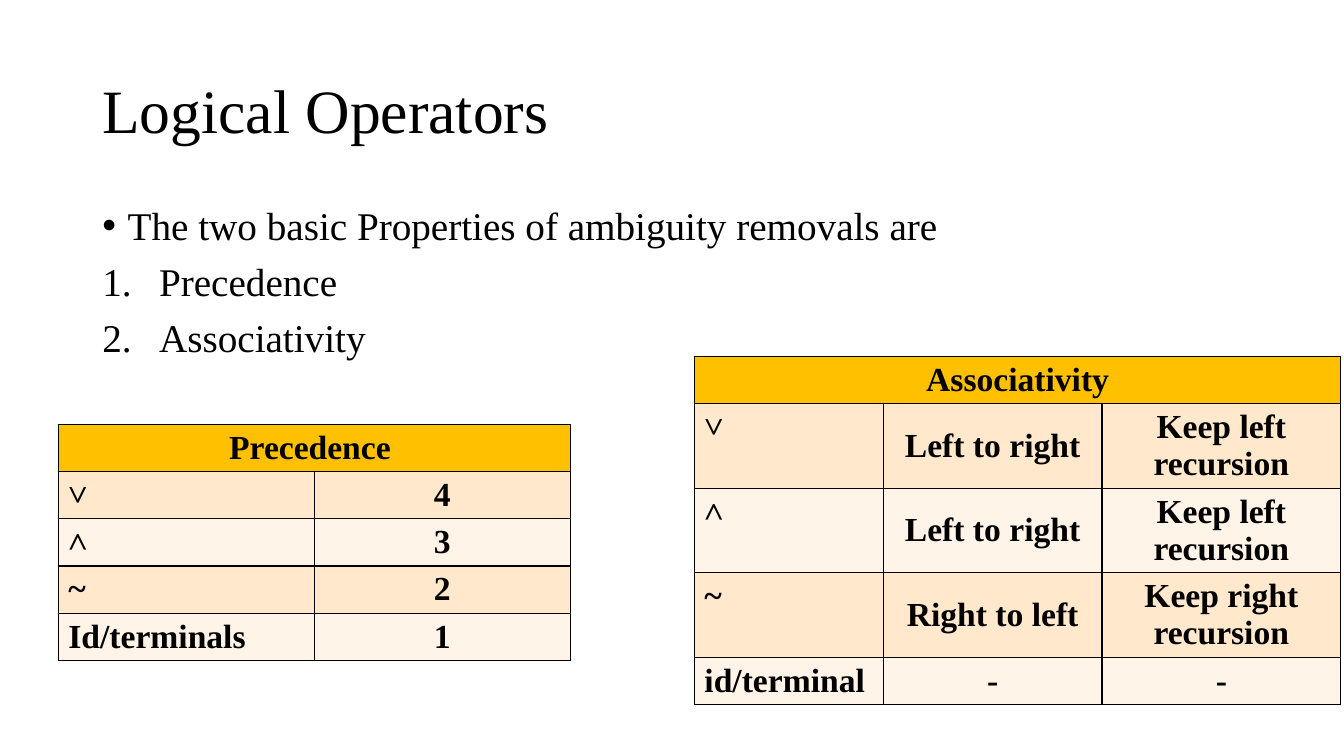
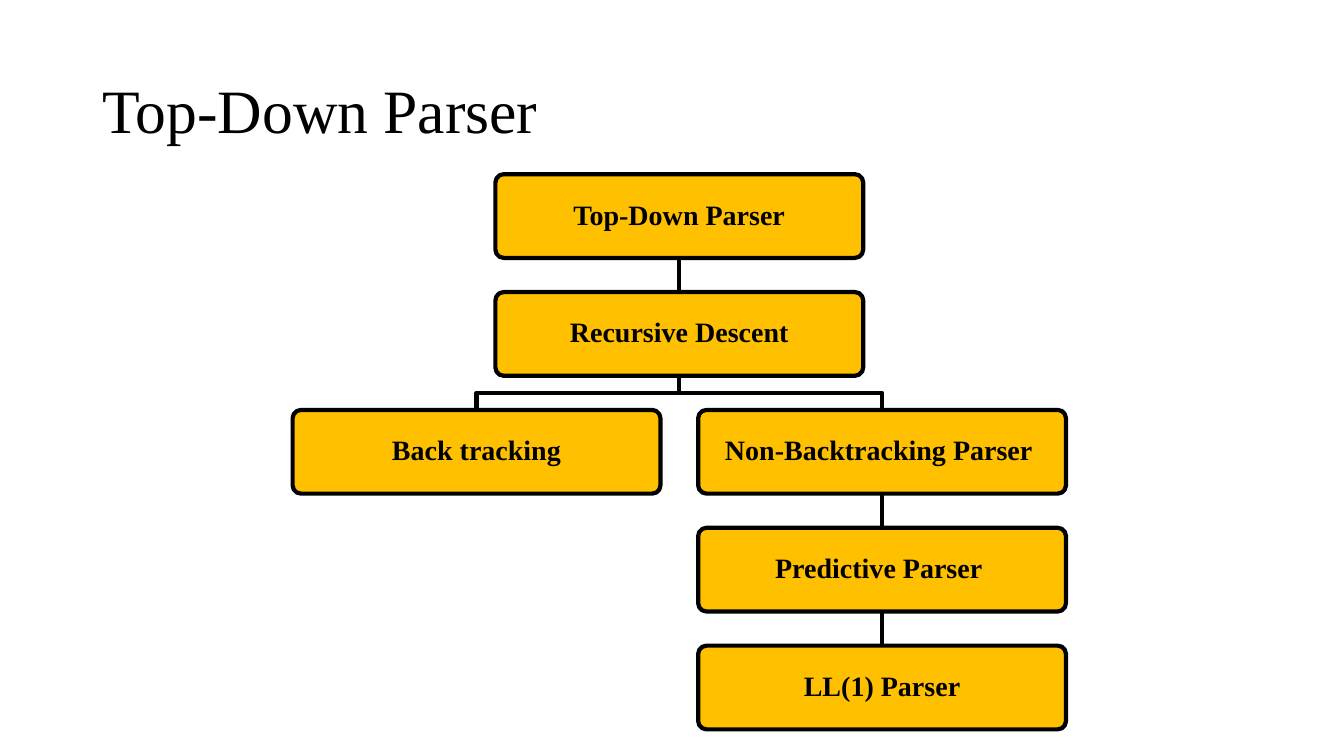
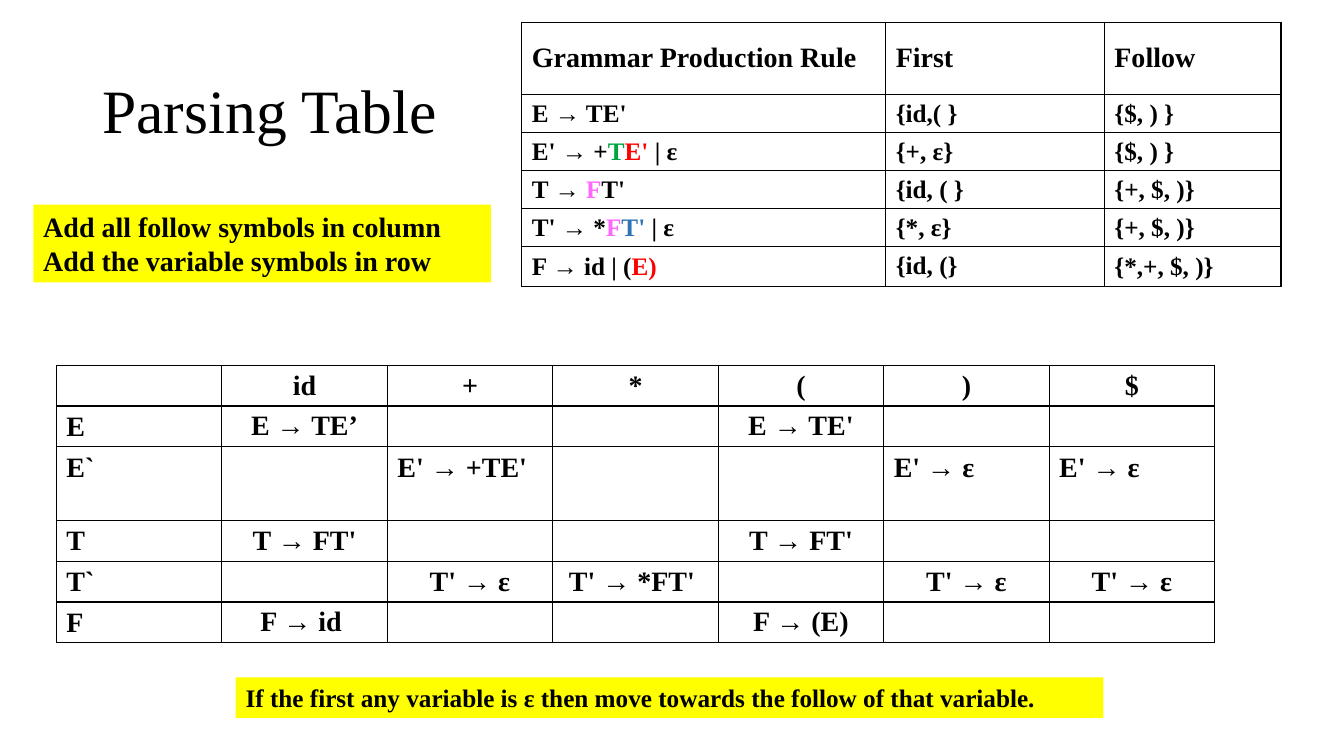
from dataclasses import dataclass
from typing import NamedTuple

from lxml import etree
from pptx import Presentation
from pptx.dml.color import RGBColor
from pptx.enum.shapes import MSO_CONNECTOR, MSO_SHAPE
from pptx.enum.text import MSO_ANCHOR, PP_ALIGN
from pptx.oxml.ns import qn
from pptx.util import Cm, Pt

LEFT, CENTER = PP_ALIGN.LEFT, PP_ALIGN.CENTER
TOP, MIDDLE = MSO_ANCHOR.TOP, MSO_ANCHOR.MIDDLE
STRAIGHT = MSO_CONNECTOR.STRAIGHT
RECTANGLE, ROUNDED = MSO_SHAPE.RECTANGLE, MSO_SHAPE.ROUNDED_RECTANGLE

FONT = "Times New Roman"
COLORS = {
    "black": "000000",
    "white": "FFFFFF",
    "gold": "FFC000",
    "peach": "FFE8CC",
    "cream": "FFF4E7",
    "yellow": "FFFF00",
    "green": "00A43D",
    "red": "FF0000",
    "pink": "FF66FF",
    "blue": "2E75B6",
}


class CellStyle(NamedTuple):
    alignment: PP_ALIGN
    anchor: MSO_ANCHOR
    margin_top: float
    margin_bottom: float


CELL_STYLES = {
    "l": CellStyle(LEFT, TOP, 0.13, 0),
    "c": CellStyle(CENTER, MIDDLE, 0.03, 0.03),
    "m": CellStyle(LEFT, MIDDLE, 0.03, 0.03),
}

BOX_WIDTH, BOX_HEIGHT = 9.27, 2.11
TREE_CENTER, TREE_TOP = 17.12, 4.39
LEVEL_PITCH, BRANCH_OFFSET = 2.97, 5.11


class Run(NamedTuple):
    text: str
    color: str = "black"


class Row(NamedTuple):
    height: float
    styles: str
    cells: tuple
    fill: str = "white"
    size: int = 20


@dataclass
class Grid:
    left: float
    top: float
    columns: list[float]
    rows: list[Row]


@dataclass
class Node:
    name: str
    text: str
    level: int
    branch: int
    parent: str = ""


@dataclass
class Note:
    left: float
    top: float
    width: float
    height: float
    size: int
    lines: list[str]


class BulletPart(NamedTuple):
    tag: str
    attribute: str
    value: str


@dataclass
class ListItem:
    text: str
    indent: float
    bullet: tuple[BulletPart, ...]


DOT = (BulletPart("a:buFont", "typeface", "Arial"), BulletPart("a:buChar", "char", "•"))
NUMBER = (BulletPart("a:buAutoNum", "type", "arabicPeriod"),)

LIST_ITEMS = [
    ListItem("The two basic Properties of ambiguity removals are", 0.64, DOT),
    ListItem("Precedence", 1.43, NUMBER),
    ListItem("Associativity", 1.43, NUMBER),
]

PRECEDENCE = Grid(1.47, 10.69, [6.45] * 2, [
    Row(1.19, "c", ("Precedence ",), "gold", 24),
    Row(1.19, "lc", ("˅", "4"), "peach", 24),
    Row(1.19, "lc", ("˄", "3"), "cream", 24),
    Row(1.19, "lc", ("~", "2"), "peach", 24),
    Row(1.19, "lc", ("Id/terminals", "1"), "cream", 24),
])

ASSOCIATIVITY = Grid(17.5, 8.98, [4.76, 5.51, 6.02], [
    Row(1.19, "c", ("Associativity",), "gold", 24),
    Row(2.13, "lcc", ("˅", "Left to right", "Keep left recursion"), "peach", 24),
    Row(2.13, "lcc", ("˄", "Left to right", "Keep left recursion"), "cream", 24),
    Row(2.13, "lcc", ("~", "Right to left", "Keep right recursion"), "peach", 24),
    Row(1.19, "lcc", ("id/terminal", "-", "-"), "cream", 24),
])

PARSING = Grid(1.42, 9.2, [4.17] * 7, [
    Row(1.03, "lcccccc", ("", "id", "+", "*", "(", ")", "$")),
    Row(1.03, "lcccccc", ("E", "E → TE’", "", "", "E → TE'", "", "")),
    Row(1.85, "lllllll", ("E`", "", "E' → +TE'", "", "", "E' → ε", "E' → ε")),
    Row(1.03, "lcccccc", ("T", "T → FT'", "", "", "T → FT'", "", "")),
    Row(1.03, "lcccccc", ("T`", "", "T' → ε", "T' → *FT' ", "", "T' → ε", "T' → ε")),
    Row(1.03, "lcccccc", ("F", "F → id ", "", "", "F → (E)", "", "")),
])

GRAMMAR = Grid(13.15, 0.56, [9.17, 5.51, 4.45], [
    Row(1.82, "mmm", ("Grammar Production Rule", "First", "Follow")),
    Row(0.96, "mlm", ("E → TE'", "{id,( }", "{$, ) }"), size=18),
    Row(0.96, "mlm", ((Run("E' → +"), Run("T", "green"), Run("E' ", "red"), Run("| ε")),
                      "{+, ε}", "{$, ) }"), size=18),
    Row(0.96, "mlm", ((Run("T → "), Run("F", "pink"), Run("T'")),
                      "{id, ( }", "{+, $, )}"), size=18),
    Row(0.96, "mlm", ((Run("T' → *"), Run("F", "pink"), Run("T' ", "blue"), Run("| ε")),
                      "{*, ε}", "{+, $, )}"), size=18),
    Row(1.0, "mlm", ((Run("F → id | ("), Run("E)", "red")),
                     "{id, (}", "{*,+, $, )}"), size=18),
])

NODES = [
    Node("root", "Top-Down Parser", 0, 0),
    Node("descent", "Recursive Descent", 1, 0, "root"),
    Node("backtracking", "Back tracking", 2, -1, "descent"),
    Node("direct", "Non-Backtracking Parser ", 2, 1, "descent"),
    Node("predictive", "Predictive Parser ", 3, 1, "direct"),
    Node("ll", "LL(1) Parser", 4, 1, "predictive"),
]

NOTES = [
    Note(0.84, 5.16, 11.53, 1.96, 20,
         ["Add all follow symbols in column", "Add the variable symbols in row"]),
    Note(5.94, 17.07, 21.87, 1.02, 18,
         ["If the first any variable is ε then move towards the follow of that variable."]),
]


def rgb(name: str) -> RGBColor:
    return RGBColor.from_string(COLORS[name])


def add_runs(paragraph, content, size: int, bold: bool = True) -> None:
    runs = (Run(content),) if isinstance(content, str) else content
    for text, color in runs:
        run = paragraph.add_run()
        run.text = text
        run.font.name = FONT
        run.font.size = Pt(size)
        run.font.bold = bold
        run.font.color.rgb = rgb(color)


def next_paragraph(frame, index: int):
    return frame.add_paragraph() if index else frame.paragraphs[0]


def add_titled_slide(presentation, title: str):
    slide = presentation.slides.add_slide(presentation.slide_layouts[6])
    frame = slide.shapes.add_textbox(Cm(2.33), Cm(1.01), Cm(29.21), Cm(3.68)).text_frame
    frame.word_wrap = True
    frame.vertical_anchor = MIDDLE
    paragraph = frame.paragraphs[0]
    paragraph.line_spacing = 0.9
    add_runs(paragraph, title, 44, bold=False)
    return slide


def add_list(slide, items: list[ListItem]) -> None:
    frame = slide.shapes.add_textbox(Cm(2.33), Cm(5.07), Cm(29.21), Cm(12.09)).text_frame
    frame.word_wrap = True
    for index, item in enumerate(items):
        paragraph = next_paragraph(frame, index)
        properties = paragraph._p.get_or_add_pPr()
        properties.set("marL", str(Cm(item.indent)))
        properties.set("indent", str(-Cm(item.indent)))
        for part in item.bullet:
            etree.SubElement(properties, qn(part.tag)).set(part.attribute, part.value)
        paragraph.line_spacing = 0.9
        if index:
            paragraph.space_before = Pt(10)
        add_runs(paragraph, item.text, 28, bold=False)


def add_borders(cell) -> None:
    properties = cell._tc.get_or_add_tcPr()
    for side in ("a:lnL", "a:lnR", "a:lnT", "a:lnB"):
        line = etree.SubElement(properties, qn(side), w=str(Pt(1)))
        fill = etree.SubElement(line, qn("a:solidFill"))
        etree.SubElement(fill, qn("a:srgbClr"), val=COLORS["black"])


def add_grid(slide, grid: Grid) -> None:
    table = slide.shapes.add_table(
        len(grid.rows), len(grid.columns), Cm(grid.left), Cm(grid.top),
        Cm(sum(grid.columns)), Cm(sum(row.height for row in grid.rows))).table
    table.first_row = table.horz_banding = False
    for column, width in zip(table.columns, grid.columns):
        column.width = Cm(width)
    for row_index, row in enumerate(grid.rows):
        table.rows[row_index].height = Cm(row.height)
        for column_index in range(len(grid.columns)):
            cell = table.cell(row_index, column_index)
            add_borders(cell)
            cell.fill.solid()
            cell.fill.fore_color.rgb = rgb(row.fill)
        if len(row.cells) == 1:
            table.cell(row_index, 0).merge(table.cell(row_index, len(grid.columns) - 1))
        for column_index, (style_name, content) in enumerate(zip(row.styles, row.cells)):
            cell = table.cell(row_index, column_index)
            style = CELL_STYLES[style_name]
            cell.vertical_anchor = style.anchor
            cell.margin_top, cell.margin_bottom = Cm(style.margin_top), Cm(style.margin_bottom)
            if content:
                paragraph = cell.text_frame.paragraphs[0]
                paragraph.alignment = style.alignment
                add_runs(paragraph, content, row.size)


def add_filled_shape(slide, kind, left: float, top: float, width: float, height: float, fill: str):
    shape = slide.shapes.add_shape(kind, Cm(left), Cm(top), Cm(width), Cm(height))
    shape.shadow.inherit = False
    shape.fill.solid()
    shape.fill.fore_color.rgb = rgb(fill)
    shape.text_frame.word_wrap = True
    return shape


def add_note(slide, note: Note) -> None:
    shape = add_filled_shape(slide, RECTANGLE, note.left, note.top, note.width, note.height, "yellow")
    shape.line.fill.background()
    frame = shape.text_frame
    frame.vertical_anchor = TOP
    for index, line in enumerate(note.lines):
        paragraph = next_paragraph(frame, index)
        paragraph.alignment = LEFT
        add_runs(paragraph, line, note.size)


def set_tree_line(shape) -> None:
    shape.line.color.rgb = rgb("black")
    shape.line.width = Pt(3)


def add_node(slide, node: Node):
    left = TREE_CENTER + node.branch * BRANCH_OFFSET - BOX_WIDTH / 2
    top = TREE_TOP + node.level * LEVEL_PITCH
    shape = add_filled_shape(slide, ROUNDED, left, top, BOX_WIDTH, BOX_HEIGHT, "gold")
    shape.adjustments[0] = 0.1
    set_tree_line(shape)
    frame = shape.text_frame
    frame.vertical_anchor = MIDDLE
    paragraph = frame.paragraphs[0]
    paragraph.alignment = CENTER
    paragraph.line_spacing = 0.9
    add_runs(paragraph, node.text, 20)
    return shape


def join_boxes(slide, parent, child) -> None:
    start_x, start_y = parent.left + parent.width // 2, parent.top + parent.height
    end_x, end_y = child.left + child.width // 2, child.top
    if start_x == end_x:
        connector = slide.shapes.add_connector(STRAIGHT, start_x, start_y, end_x, end_y)
        connector.begin_connect(parent, 2)
        connector.end_connect(child, 0)
        set_tree_line(connector)
        etree.SubElement(connector._element.spPr, qn("a:effectLst"))
        return
    bend_y = (start_y + end_y) // 2
    builder = slide.shapes.build_freeform(start_x, start_y)
    builder.add_line_segments([(start_x, bend_y), (end_x, bend_y), (end_x, end_y)], close=False)
    branch = builder.convert_to_shape()
    branch.shadow.inherit = False
    branch.fill.background()
    set_tree_line(branch)


def add_tree(slide, nodes: list[Node]) -> None:
    boxes = {node.name: add_node(slide, node) for node in nodes}
    for node in nodes:
        if node.parent:
            join_boxes(slide, boxes[node.parent], boxes[node.name])


def main() -> None:
    presentation = Presentation()
    presentation.slide_width, presentation.slide_height = Cm(33.87), Cm(19.05)

    operators = add_titled_slide(presentation, "Logical Operators")
    add_list(operators, LIST_ITEMS)
    add_grid(operators, PRECEDENCE)
    add_grid(operators, ASSOCIATIVITY)

    add_tree(add_titled_slide(presentation, "Top-Down Parser"), NODES)

    parsing = add_titled_slide(presentation, "Parsing Table")
    add_grid(parsing, PARSING)
    add_grid(parsing, GRAMMAR)
    for note in NOTES:
        add_note(parsing, note)

    presentation.save("out.pptx")


if __name__ == "__main__":
    main()
